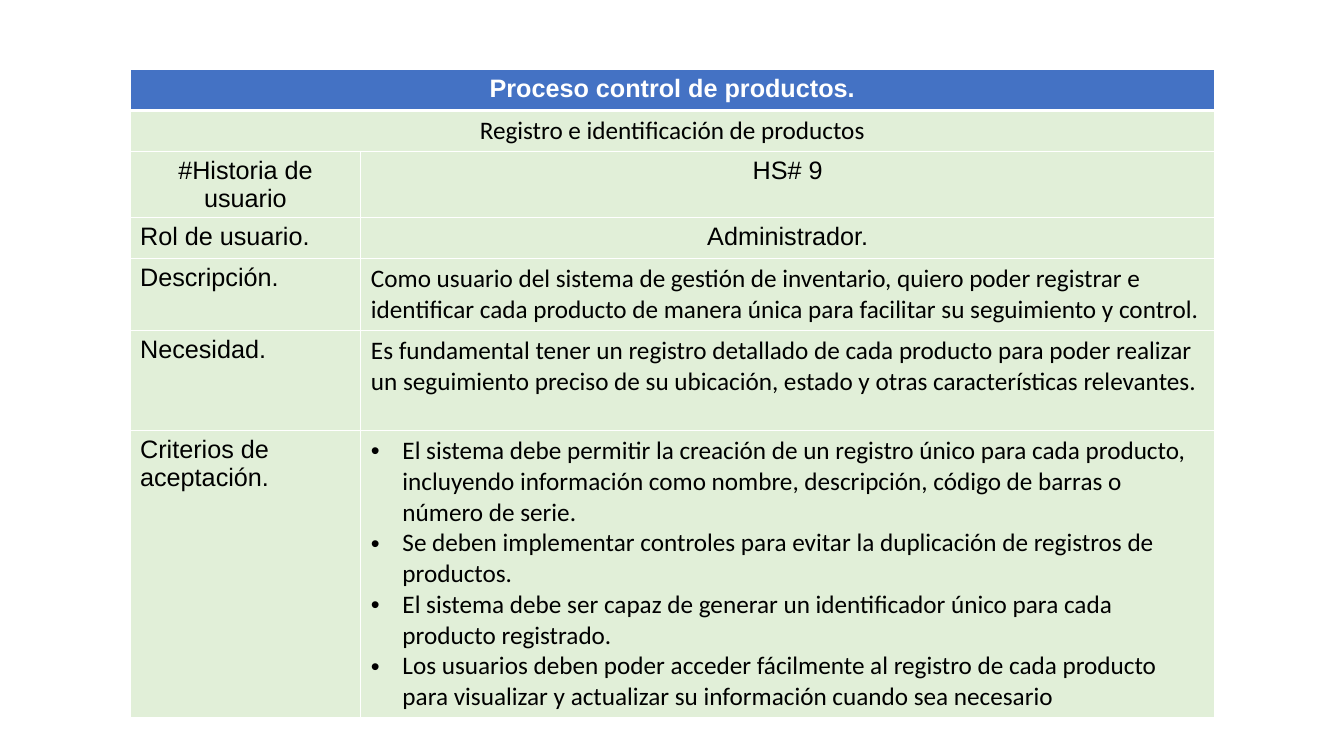
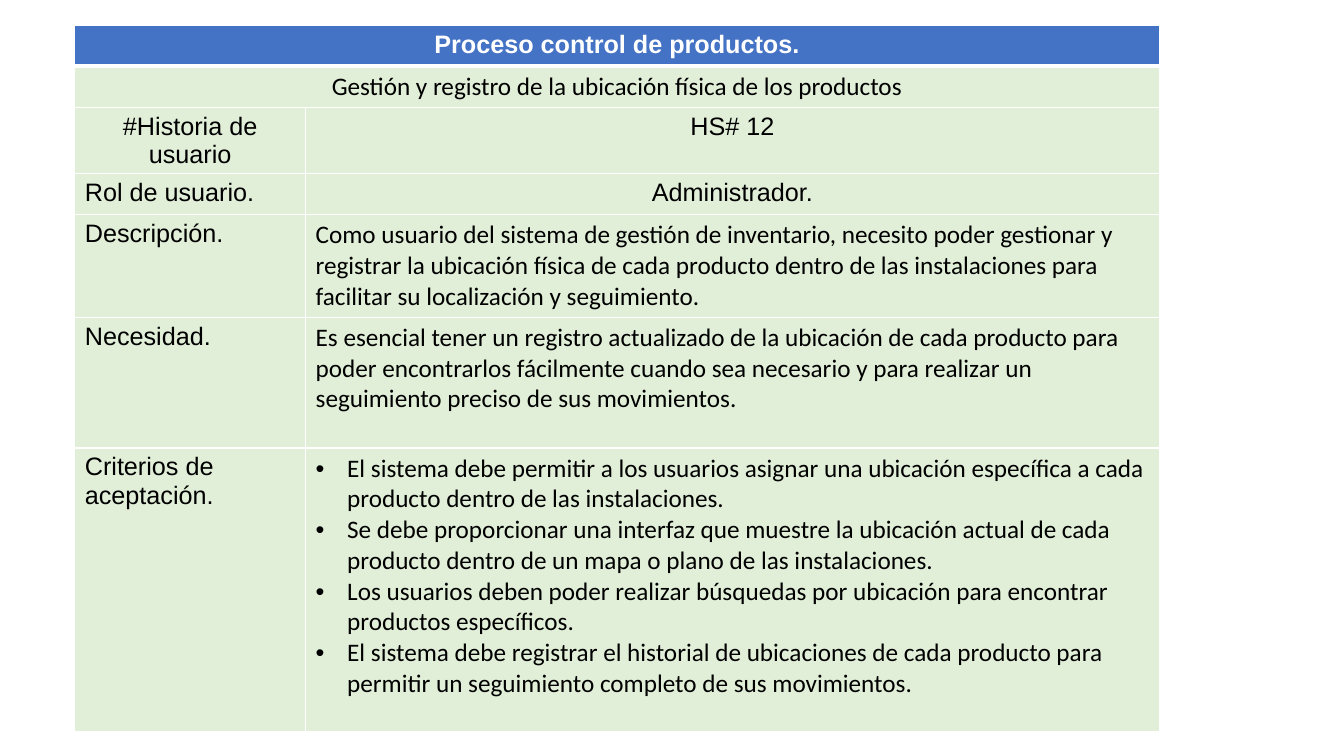
import pptx
import pptx.util
import pptx.dml.color
import pptx.enum.text
import pptx.oxml.ns
from lxml import etree

Pt = pptx.util.Pt
CENTER = pptx.enum.text.PP_ALIGN.CENTER
LEFT = pptx.enum.text.PP_ALIGN.LEFT
COLORS = {"header": "4472C4", "body": "E1EFD8", "border": "FFFFFF",
          "header_text": "FFFFFF", "text": "000000"}
HEADING_FONT, DETAIL_FONT = "Arial", "Calibri"
COLUMN_WIDTHS = (164.9, 609.8)
LINE_ROW, LABEL_ROW = 29.2, 47.1
BULLET_INDENT = 22.5
PROCESS = "Proceso control de productos."

STORIES = [
    {"box": (92.9, 49.7), "number": "HS# 9",
     "title": "Registro e identificación de productos",
     "description": "Como usuario del sistema de gestión de inventario, quiero poder registrar e identificar cada producto de manera única para facilitar su seguimiento y control.",
     "need": "Es fundamental tener un registro detallado de cada producto para poder realizar un seguimiento preciso de su ubicación, estado y otras características relevantes.",
     "criteria": [
         "El sistema debe permitir la creación de un registro único para cada producto, incluyendo información como nombre, descripción, código de barras o número de serie.",
         "Se deben implementar controles para evitar la duplicación de registros de productos.",
         "El sistema debe ser capaz de generar un identificador único para cada producto registrado.",
         "Los usuarios deben poder acceder fácilmente al registro de cada producto para visualizar y actualizar su información cuando sea necesario"],
     "detail_rows": (51.4, 71.4, 204)},
    {"box": (53.4, 18.2), "number": "HS# 12",
     "title": "Gestión y registro de la ubicación física de los productos",
     "description": "Como usuario del sistema de gestión de inventario, necesito poder gestionar y registrar la ubicación física de cada producto dentro de las instalaciones para facilitar su localización y seguimiento.",
     "need": "Es esencial tener un registro actualizado de la ubicación de cada producto para poder encontrarlos fácilmente cuando sea necesario y para realizar un seguimiento preciso de sus movimientos.",
     "criteria": [
         "El sistema debe permitir a los usuarios asignar una ubicación específica a cada producto dentro de las instalaciones.",
         "Se debe proporcionar una interfaz que muestre la ubicación actual de cada producto dentro de un mapa o plano de las instalaciones.",
         "Los usuarios deben poder realizar búsquedas por ubicación para encontrar productos específicos.",
         "El sistema debe registrar el historial de ubicaciones de cada producto para permitir un seguimiento completo de sus movimientos."],
     "detail_rows": (73.3, 93.4, 202.7)},
]


def rgb(name):
    return pptx.dml.color.RGBColor.from_string(COLORS[name])


def add_element(parent, tag, **attributes):
    return etree.SubElement(parent, pptx.oxml.ns.qn(tag), attributes)


def style_cell(cell, fill, top=1, bottom=1):
    cell.fill.solid()
    cell.fill.fore_color.rgb = rgb(fill)
    properties = cell._tc.get_or_add_tcPr()
    sides = (("a:lnL", 1), ("a:lnR", 1), ("a:lnT", top), ("a:lnB", bottom))
    # Borders come before the fill
    for position, (side, width) in enumerate(sides):
        border = add_element(properties, side, w=str(Pt(width)))
        add_element(add_element(border, "a:solidFill"), "a:srgbClr", val=COLORS["border"])
        properties.insert(position, border)


def add_bullet(paragraph):
    properties = paragraph._p.get_or_add_pPr()
    properties.set("marL", str(Pt(BULLET_INDENT)))
    properties.set("indent", str(-Pt(BULLET_INDENT)))
    add_element(add_element(properties, "a:buClr"), "a:srgbClr", val=COLORS["text"])
    add_element(properties, "a:buFont", typeface="Arial")
    add_element(properties, "a:buChar", char="•")


def write_cell(cell, lines, font, align=LEFT, color="text", bold=False, bullets=False):
    cell.text = "\n".join(lines)
    for paragraph in cell.text_frame.paragraphs:
        paragraph.alignment = align
        if bullets:
            add_bullet(paragraph)
        paragraph.font.name = font
        paragraph.font.size = Pt(18)
        paragraph.font.bold = bold
        paragraph.font.color.rgb = rgb(color)


def add_story_table(slide, left, top, story):
    heights = (LINE_ROW, LINE_ROW, LABEL_ROW, LINE_ROW, *story["detail_rows"])
    table = slide.shapes.add_table(len(heights), len(COLUMN_WIDTHS), Pt(left), Pt(top),
                                   Pt(sum(COLUMN_WIDTHS)), Pt(sum(heights))).table
    table.first_row = table.horz_banding = False
    for column, width in zip(table.columns, COLUMN_WIDTHS):
        column.width = Pt(width)
    for index, (row, height) in enumerate(zip(table.rows, heights)):
        row.height = Pt(height)
        for cell in row.cells:
            style_cell(cell, "body" if index else "header",
                       top=3 if index == 1 else 1, bottom=1 if index else 3)

    # Process and story title span both columns
    for index in (0, 1):
        table.cell(index, 0).merge(table.cell(index, 1))
    write_cell(table.cell(0, 0), [PROCESS], HEADING_FONT, CENTER, "header_text", bold=True)
    write_cell(table.cell(1, 0), [story["title"]], DETAIL_FONT, CENTER)

    # Labels and details
    details = [
        ("#Historia de usuario", CENTER, [story["number"]], HEADING_FONT, CENTER),
        ("Rol de usuario.", LEFT, ["Administrador."], HEADING_FONT, CENTER),
        ("Descripción.", LEFT, [story["description"]], DETAIL_FONT, LEFT),
        ("Necesidad.", LEFT, [story["need"]], DETAIL_FONT, LEFT),
        ("Criterios de aceptación.", LEFT, story["criteria"], DETAIL_FONT, LEFT),
    ]
    for index, (label, label_align, lines, font, align) in enumerate(details, start=2):
        write_cell(table.cell(index, 0), [label], HEADING_FONT, label_align)
        write_cell(table.cell(index, 1), lines, font, align,
                   bullets=len(lines) > 1)


def main():
    deck = pptx.Presentation()
    deck.slide_width, deck.slide_height = Pt(960), Pt(540)
    for story in STORIES:
        slide = deck.slides.add_slide(deck.slide_layouts[6])
        add_story_table(slide, *story["box"], story)
    deck.save("out.pptx")


if __name__ == "__main__":
    main()
